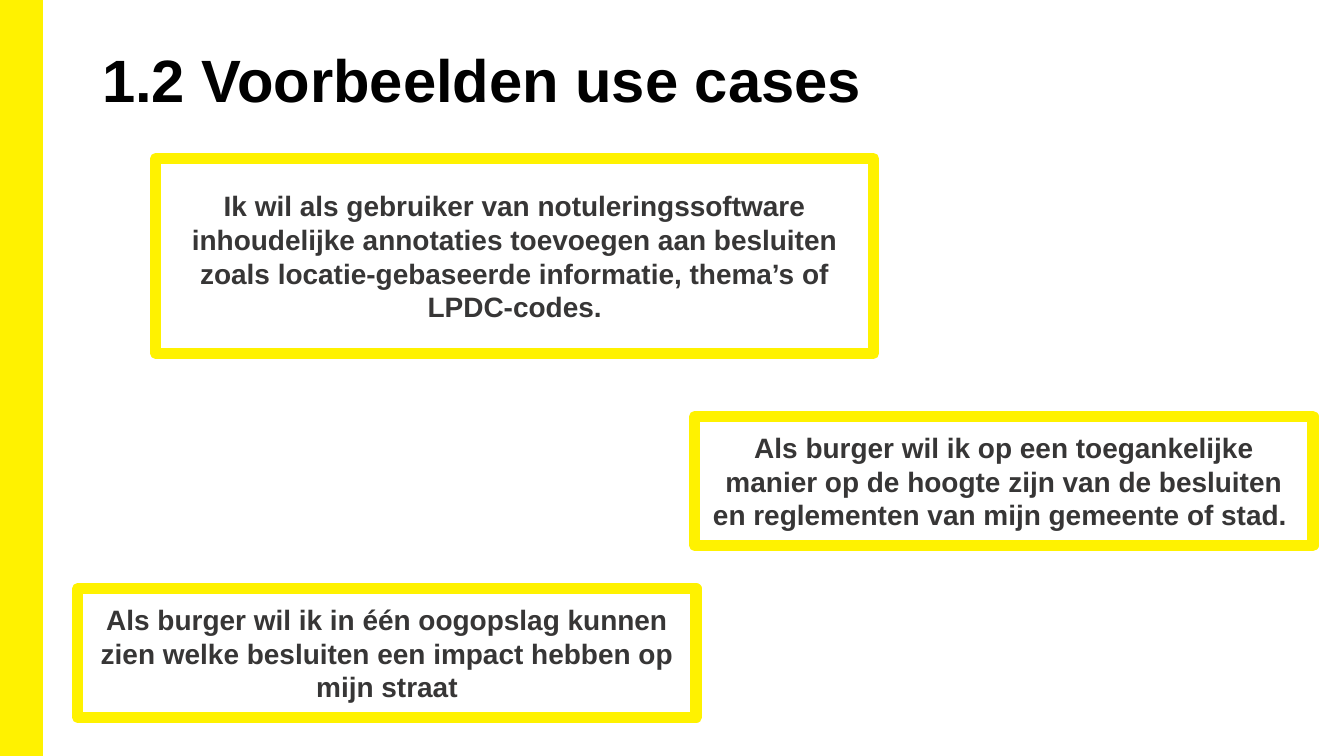
from pptx import Presentation
from pptx.dml.color import RGBColor
from pptx.enum.shapes import MSO_SHAPE
from pptx.enum.text import MSO_ANCHOR, MSO_AUTO_SIZE, PP_ALIGN
from pptx.util import Inches, Pt

YELLOW, WHITE, BLACK, GREY = "FFF200", "FFFFFF", "000000", "373636"
WIDTH = 10
HEIGHT = WIDTH * 9 / 16
TITLE_FONT = {"name": "Arial", "size": Pt(32), "bold": True}
CASE_FONT = {"name": "Arial", "size": Pt(15), "bold": True}


def color(hex_code):
    return RGBColor.from_string(hex_code)


def add_box(s, box, fill, line_width):
    sp = s.shapes.add_shape(MSO_SHAPE.RECTANGLE, *[Inches(v) for v in box])
    sp.shadow.inherit = False
    sp.fill.solid()
    sp.fill.fore_color.rgb = color(fill)
    sp.line.color.rgb = color(YELLOW)
    sp.line.width = Pt(line_width)
    return sp


prs = Presentation()
prs.slide_width, prs.slide_height = Inches(WIDTH), Inches(HEIGHT)
s = prs.slides.add_slide(prs.slide_layouts[5])

# Yellow side bar
add_box(s, (0, 0, 0.31, HEIGHT), YELLOW, 1)

# Title
title = s.shapes.title
title.left, title.top = Inches(0.69), Inches(0.28)
title.width, title.height = Inches(8.97), Inches(1.38)
tf = title.text_frame
tf.auto_size = MSO_AUTO_SIZE.NONE
tf.vertical_anchor = MSO_ANCHOR.TOP
tf.margin_left = tf.margin_right = Inches(0.07)
tf.margin_top = tf.margin_bottom = Inches(0.04)
p = tf.paragraphs[0]
p.alignment = PP_ALIGN.LEFT
r = p.add_run()
r.text = "1.2 Voorbeelden use cases"
r.font.color.rgb = color(BLACK)
for key, value in TITLE_FONT.items():
    setattr(r.font, key, value)

# Use cases
use_cases = [
    ((1.16, 1.18, 5.34, 1.45),
     "Ik wil als gebruiker van notuleringssoftware inhoudelijke annotaties "
     "toevoegen aan besluiten zoals locatie-gebaseerde informatie, thema’s "
     "of LPDC-codes."),
    ((5.17, 3.1, 4.6, 0.96),
     "Als burger wil ik op een toegankelijke manier op de hoogte zijn van de "
     "besluiten en reglementen van mijn gemeente of stad. "),
    ((0.58, 4.38, 4.6, 0.96),
     "Als burger wil ik in één oogopslag kunnen zien welke besluiten een "
     "impact hebben op mijn straat"),
]
for box, text in use_cases:
    tf = add_box(s, box, WHITE, 6).text_frame
    tf.word_wrap = True
    tf.vertical_anchor = MSO_ANCHOR.MIDDLE
    p = tf.paragraphs[0]
    p.alignment = PP_ALIGN.CENTER
    r = p.add_run()
    r.text = text
    r.font.color.rgb = color(GREY)
    for key, value in CASE_FONT.items():
        setattr(r.font, key, value)

prs.save("out.pptx")
